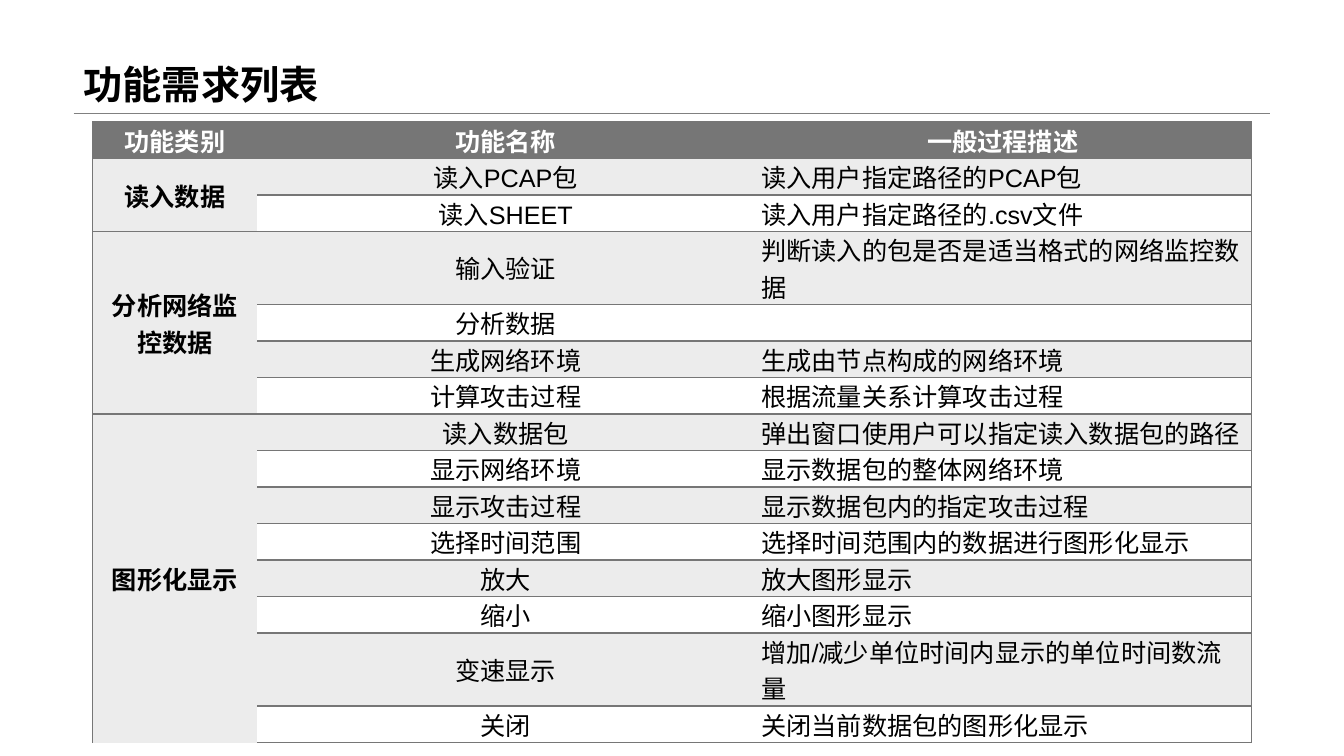
"""Build the slide listing the functional requirements."""
from dataclasses import dataclass

from lxml import etree
from pptx import Presentation
from pptx.dml.color import RGBColor
from pptx.enum.shapes import MSO_CONNECTOR
from pptx.enum.text import MSO_ANCHOR, MSO_AUTO_SIZE, PP_ALIGN
from pptx.oxml.ns import qn
from pptx.slide import Slide
from pptx.table import Table, _Cell
from pptx.text.text import _Paragraph
from pptx.util import Inches, Pt

LEFT, CENTER = PP_ALIGN.LEFT, PP_ALIGN.CENTER
MIDDLE, BOTTOM = MSO_ANCHOR.MIDDLE, MSO_ANCHOR.BOTTOM
NO_AUTOFIT = MSO_AUTO_SIZE.NONE
STRAIGHT = MSO_CONNECTOR.STRAIGHT

BLACK = RGBColor(0x00, 0x00, 0x00)
WHITE = RGBColor(0xFF, 0xFF, 0xFF)
HEADER_GRAY = RGBColor(0x76, 0x76, 0x76)
BAND_GRAY = RGBColor(0xEC, 0xEC, 0xEC)
RULE_GRAY = RGBColor(0x80, 0x80, 0x80)

FONT_NAME = "Arial"
COLUMN_WIDTHS = (1.63, 4.93, 4.93)
TABLE_HEIGHT = 5.34
CELL_FORMAT = {
    "vertical_anchor": MIDDLE,
    "margin_left": Inches(0.07),
    "margin_right": Inches(0.07),
    "margin_top": 0,
    "margin_bottom": 0,
}
TITLE_BOX = {
    "left": Inches(0.73),
    "top": Inches(0),
    "width": Inches(11.87),
    "height": Inches(1.12),
}
TITLE_FRAME = {
    "vertical_anchor": BOTTOM,
    "auto_size": NO_AUTOFIT,
    "word_wrap": True,
}


@dataclass(frozen=True)
class Feature:
    name: str
    process: str


@dataclass(frozen=True)
class Category:
    name: str
    features: tuple[Feature, ...]


HEADINGS = ("功能类别", "功能名称", "一般过程描述")
CATEGORIES = (
    Category("读入数据", (
        Feature("读入PCAP包", "读入用户指定路径的PCAP包"),
        Feature("读入SHEET", "读入用户指定路径的.csv文件"),
    )),
    Category("分析网络监控数据", (
        Feature("输入验证", "判断读入的包是否是适当格式的网络监控数据"),
        Feature("分析数据", ""),
        Feature("生成网络环境", "生成由节点构成的网络环境"),
        Feature("计算攻击过程", "根据流量关系计算攻击过程"),
    )),
    Category("图形化显示", (
        Feature("读入数据包", "弹出窗口使用户可以指定读入数据包的路径"),
        Feature("显示网络环境", "显示数据包的整体网络环境"),
        Feature("显示攻击过程", "显示数据包内的指定攻击过程"),
        Feature("选择时间范围", "选择时间范围内的数据进行图形化显示"),
        Feature("放大", "放大图形显示"),
        Feature("缩小", "缩小图形显示"),
        Feature("变速显示", "增加/减少单位时间内显示的单位时间数流量"),
        Feature("关闭", "关闭当前数据包的图形化显示"),
    )),
)


def apply_format(target: object, values: dict) -> None:
    for attribute, value in values.items():
        setattr(target, attribute, value)


def write_text(paragraph: _Paragraph, text: str, size: float, bold: bool,
               color: RGBColor, align: PP_ALIGN) -> None:
    paragraph.alignment = align
    if text:
        run = paragraph.add_run()
        run.text = text
        apply_format(run.font, {"name": FONT_NAME, "size": Pt(size), "bold": bold})
        run.font.color.rgb = color


def set_borders(cell: _Cell, visible_sides: str) -> None:
    properties = cell._tc.get_or_add_tcPr()
    for side in "LRTB":
        border = etree.SubElement(properties, qn(f"a:ln{side}"), w=str(Pt(1)))
        if side in visible_sides:
            fill = etree.SubElement(border, qn("a:solidFill"))
            etree.SubElement(fill, qn("a:srgbClr"), val=str(HEADER_GRAY))
        else:
            etree.SubElement(border, qn("a:noFill"))


def fill_cell(cell: _Cell, text: str, background: RGBColor, borders: str,
              bold: bool = False, color: RGBColor = BLACK,
              align: PP_ALIGN = CENTER) -> None:
    apply_format(cell, CELL_FORMAT)
    set_borders(cell, borders)
    cell.fill.solid()
    cell.fill.fore_color.rgb = background
    write_text(cell.text_frame.paragraphs[0], text, 18, bold, color, align)


def fill_category(table: Table, category: Category, first_row: int) -> None:
    last_row = first_row + len(category.features) - 1
    for row, feature in enumerate(category.features, first_row):
        is_first = row == first_row
        borders = "L" + "T" * is_first + "B" * (row == last_row)
        fill_cell(table.cell(row, 0), category.name if is_first else "",
                  BAND_GRAY, borders, bold=True)
        band = BAND_GRAY if row % 2 else WHITE
        fill_cell(table.cell(row, 1), feature.name, band, "TB")
        fill_cell(table.cell(row, 2), feature.process, band, "TBR", align=LEFT)
    table.cell(first_row, 0).merge(table.cell(last_row, 0))


def add_requirements(slide: Slide) -> None:
    row_count = 1 + sum(len(category.features) for category in CATEGORIES)
    table = slide.shapes.add_table(
        row_count, len(HEADINGS), Inches(0.92), Inches(1.21),
        Inches(sum(COLUMN_WIDTHS)), Inches(TABLE_HEIGHT)).table
    for column, width in zip(table.columns, COLUMN_WIDTHS):
        column.width = Inches(width)
    for cell, heading, borders in zip(table.rows[0].cells, HEADINGS, ("LTB", "TB", "TBR")):
        fill_cell(cell, heading, HEADER_GRAY, borders, bold=True, color=WHITE)
    first_row = 1
    for category in CATEGORIES:
        fill_category(table, category, first_row)
        first_row += len(category.features)


def add_heading(slide: Slide) -> None:
    title = slide.shapes.title
    apply_format(title, TITLE_BOX)
    apply_format(title.text_frame, TITLE_FRAME)
    paragraph = title.text_frame.paragraphs[0]
    paragraph.line_spacing = 0.9
    write_text(paragraph, "功能需求列表", 28, True, BLACK, LEFT)
    rule = slide.shapes.add_connector(
        STRAIGHT, Inches(0.73), Inches(1.12), Inches(12.6), Inches(1.12))
    rule.line.color.rgb = RULE_GRAY
    rule.line.width = Pt(0.25)
    etree.SubElement(rule._element.spPr, qn("a:effectLst"))


def main() -> None:
    presentation = Presentation()
    presentation.slide_width = Inches(13.33)
    presentation.slide_height = Inches(7.5)
    slide = presentation.slides.add_slide(presentation.slide_layouts[5])
    add_heading(slide)
    add_requirements(slide)
    presentation.save("out.pptx")


if __name__ == "__main__":
    main()
